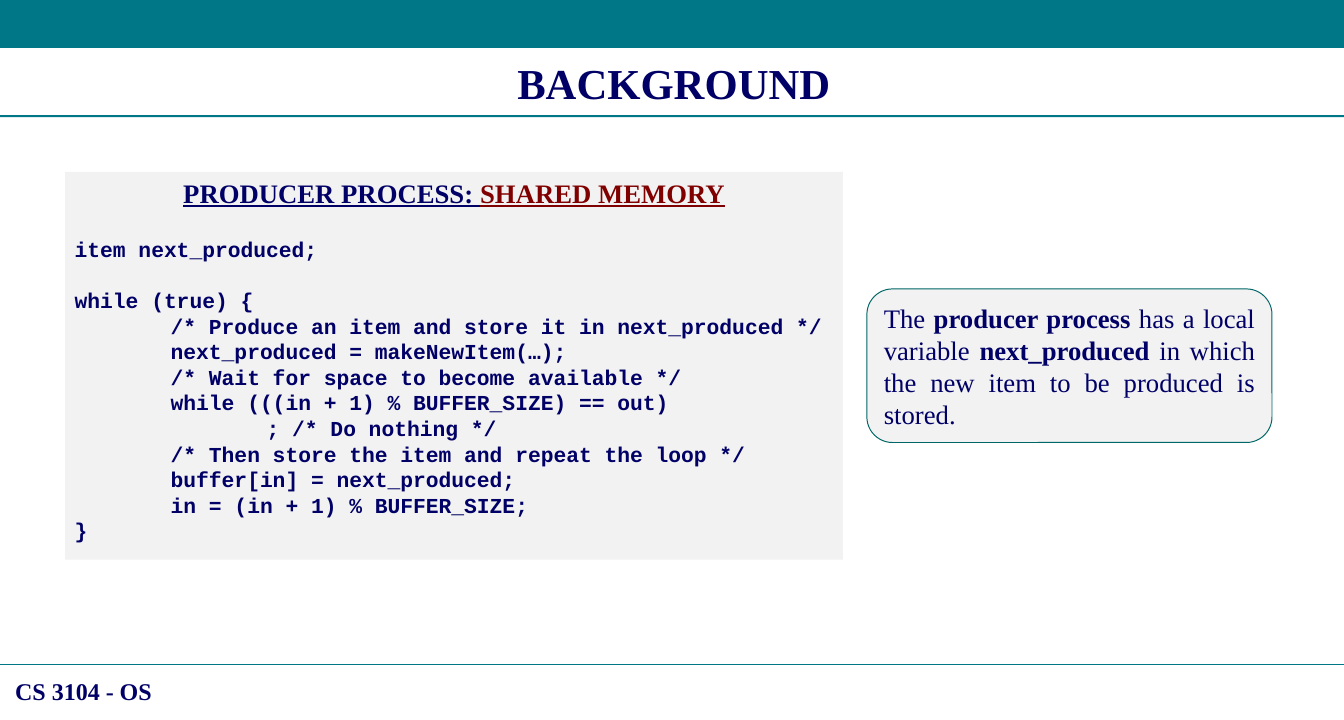
from lxml import etree
from pptx import Presentation
from pptx.dml.color import RGBColor
from pptx.enum.shapes import MSO_CONNECTOR, MSO_SHAPE
from pptx.enum.text import MSO_ANCHOR, PP_ALIGN
from pptx.oxml.ns import qn
from pptx.util import Inches, Pt

RECTANGLE, ROUNDED = MSO_SHAPE.RECTANGLE, MSO_SHAPE.ROUNDED_RECTANGLE
STRAIGHT = MSO_CONNECTOR.STRAIGHT
TOP, MIDDLE = MSO_ANCHOR.TOP, MSO_ANCHOR.MIDDLE
LEFT, CENTER, JUSTIFY = PP_ALIGN.LEFT, PP_ALIGN.CENTER, PP_ALIGN.JUSTIFY

TEAL = RGBColor(0x00, 0x77, 0x87)
DARK_TEAL = RGBColor(0x00, 0x66, 0x66)
NAVY = RGBColor(0x00, 0x00, 0x66)
MAROON = RGBColor(0x80, 0x00, 0x00)
PALE_GREY = RGBColor(0xF2, 0xF2, 0xF2)

SERIF, MONO = "Times New Roman", "Courier New"
WIDTH, HEIGHT = 14, 7.5
LEADING = 1.2  # line pitch as a multiple of the text size
TAB_WIDTH = 1
PANEL_LEFT, PANEL_WIDTH = 0.68, 8.1

DECLARATION = "item next_produced;"
LOOP = [
    "while (true) {",
    "\t/* Produce an item and store it in next_produced */",
    "\tnext_produced = makeNewItem(…);",
    "\t/* Wait for space to become available */",
    "\twhile (((in + 1) % BUFFER_SIZE) == out)",
    "\t\t; /* Do nothing */",
    "\t/* Then store the item and repeat the loop */",
    "\tbuffer[in] = next_produced;",
    "\tin = (in + 1) % BUFFER_SIZE;",
    "}",
]


def inches(*lengths):
    return [Inches(length) for length in lengths]


def add_block(slide, kind, box, fill, outline=None):
    block = slide.shapes.add_shape(kind, *inches(*box))
    block.shadow.inherit = False
    block.fill.solid()
    block.fill.fore_color.rgb = fill
    if outline is None:
        block.line.fill.background()
    else:
        block.line.color.rgb = outline
        block.line.width = Pt(0.75)
    return block


def add_rule(slide, y, color):
    rule = slide.shapes.add_connector(STRAIGHT, *inches(0, y, WIDTH, y))
    rule.line.color.rgb = color
    rule.line.width = Pt(1)
    etree.SubElement(rule._element.spPr, qn("a:effectLst"))


def set_tab_stops(paragraph, count=2):
    """Place left tab stops at equal steps of the tab width."""
    stops = etree.SubElement(paragraph._p.get_or_add_pPr(), qn("a:tabLst"))
    for step in range(1, count + 1):
        etree.SubElement(stops, qn("a:tab"), pos=str(Inches(step * TAB_WIDTH)), algn="l")


def write(frame, lines, size, font=SERIF, align=LEFT, anchor=TOP, bold=True):
    """Fill a frame with one paragraph per line; a line is a list of strings."""
    frame.word_wrap = True
    frame.vertical_anchor = anchor
    for number, pieces in enumerate(lines):
        paragraph = frame.add_paragraph() if number else frame.paragraphs[0]
        paragraph.alignment = align
        paragraph.line_spacing = Pt(size * LEADING)
        if any("\t" in piece for piece in pieces):
            set_tab_stops(paragraph)
        style = paragraph.font
        style.name, style.size, style.bold = font, Pt(size), bold
        style.color.rgb = NAVY
        for piece in pieces:
            paragraph.add_run().text = piece
    return frame.paragraphs


def add_label(slide, box, lines, size, **style):
    label = slide.shapes.add_textbox(*inches(*box))
    return write(label.text_frame, lines, size, **style)


def add_page_frame(slide):
    add_block(slide, RECTANGLE, (0, 0, WIDTH, 0.5), TEAL)
    add_rule(slide, 6.92, TEAL)
    add_block(slide, RECTANGLE, (0, 1.2, WIDTH, 0.02), TEAL)
    add_label(slide, (0.06, 7, 1.8, 0.4), [["CS 3104 - OS"]], 18)


def add_code_panel(slide):
    panel = add_block(slide, RECTANGLE, (PANEL_LEFT, 1.79, PANEL_WIDTH, 4.04), PALE_GREY)
    heading, = write(panel.text_frame, [["PRODUCER PROCESS: ", "SHARED MEMORY"]],
                     20, align=CENTER)
    heading.font.underline = True
    heading.runs[1].font.color.rgb = MAROON

    size = 16
    code = add_label(slide, (PANEL_LEFT, 2.41, PANEL_WIDTH, 3.33),
                     [[line] for line in [DECLARATION, *LOOP]], size, font=MONO)
    code[0].space_after = Pt(size * LEADING)  # one line of air before the loop


def add_explanation(slide):
    note = add_block(slide, ROUNDED, (9.03, 3.01, 4.22, 1.6), PALE_GREY, DARK_TEAL)
    pieces = ["The ", "producer process", " has a local variable ", "next_produced ",
              "in which the new item to be produced is stored."]
    sentence, = write(note.text_frame, [pieces], 20, align=JUSTIFY,
                      anchor=MIDDLE, bold=False)
    for term in sentence.runs[1::2]:
        term.font.bold = True


def main():
    deck = Presentation()
    deck.slide_width, deck.slide_height = inches(WIDTH, HEIGHT)
    slide = deck.slides.add_slide(deck.slide_layouts[6])

    # Band, rules and footer
    add_page_frame(slide)
    # Title
    add_label(slide, (0.13, 0.54, 13.78, 0.64), [["BACKGROUND"]], 32, align=CENTER)
    # Producer code and the note beside it
    add_code_panel(slide)
    add_explanation(slide)

    deck.save("out.pptx")


if __name__ == "__main__":
    main()
